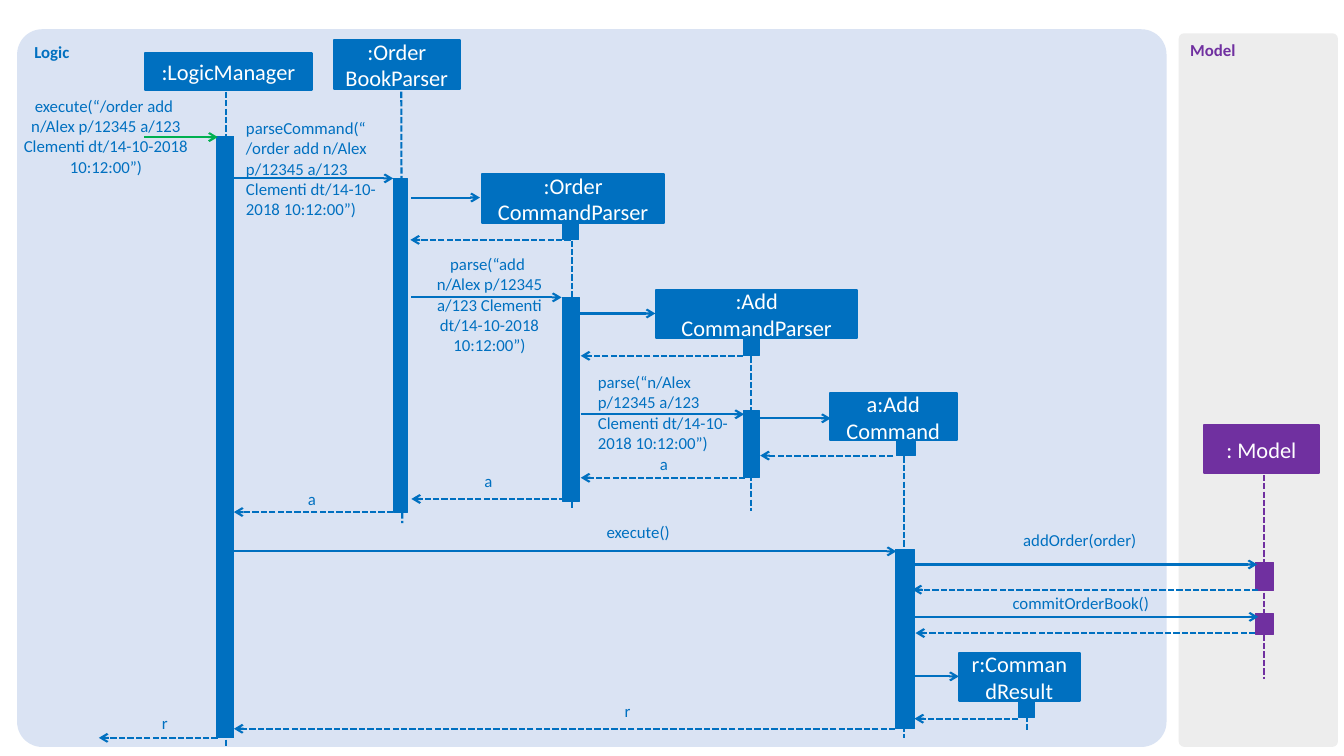
from dataclasses import dataclass

from pptx import Presentation
from pptx.dml.color import RGBColor
from pptx.enum.dml import MSO_LINE
from pptx.enum.shapes import MSO_CONNECTOR, MSO_SHAPE
from pptx.enum.text import MSO_ANCHOR, MSO_AUTO_SIZE, PP_ALIGN
from pptx.oxml.ns import qn
from pptx.oxml.xmlchemy import OxmlElement
from pptx.util import Pt


@dataclass(frozen=True)
class Theme:
    font: str = "Calibri"
    label_size: int = 12
    object_size: int = 16
    stroke: float = 1.5
    thin: float = 0.5
    logic: RGBColor = RGBColor(0x00, 0x70, 0xC0)
    model: RGBColor = RGBColor(0x70, 0x30, 0xA0)
    caller: RGBColor = RGBColor(0x00, 0xB0, 0x50)
    logic_area: RGBColor = RGBColor(0xDA, 0xE3, 0xF3)
    model_area: RGBColor = RGBColor(0xED, 0xED, 0xED)
    white: RGBColor = RGBColor(0xFF, 0xFF, 0xFF)


theme = Theme()
PX = 9144
CENTER, LEFT = PP_ALIGN.CENTER, PP_ALIGN.LEFT

deck = Presentation()
deck.slide_width, deck.slide_height = 1333 * PX, 750 * PX
page = deck.slides.add_slide(deck.slide_layouts[6])


def write(shape, text, size, color, align, bold=False):
    frame = shape.text_frame
    frame.word_wrap = True
    frame.text = text
    for para in frame.paragraphs:
        para.alignment = align
        para.font.name = theme.font
        para.font.size = Pt(size)
        para.font.bold = bold
        para.font.color.rgb = color


def draw_line(start, end, color, dashed=False, arrow=True):
    points = [value * PX for value in (*start, *end)]
    line = page.shapes.add_connector(MSO_CONNECTOR.STRAIGHT, *points)
    line.line.color.rgb = color
    line.line.width = Pt(theme.stroke)
    if dashed:
        line.line.dash_style = MSO_LINE.SQUARE_DOT
    properties = line._element.spPr
    if arrow:
        tip = OxmlElement("a:tailEnd")
        tip.set("type", "arrow")
        properties.find(qn("a:ln")).append(tip)
    properties.append(OxmlElement("a:effectLst"))


areas = [
    ("Logic", (17, 29, 1140, 712), theme.logic_area, theme.logic),
    ("Model", (1169, 33, 158, 708), theme.model_area, theme.model),
]
for name, place, fill, color in areas:
    area = page.shapes.add_shape(MSO_SHAPE.ROUNDED_RECTANGLE, *[value * PX for value in place])
    area.adjustments[0] = 0.035
    area.shadow.inherit = False
    area.fill.solid()
    area.fill.fore_color.rgb = fill
    area.line.fill.background()
    area.text_frame.vertical_anchor = MSO_ANCHOR.TOP
    write(area, name, theme.label_size, color, LEFT, bold=True)

lifelines = [
    ((224, 91), (224, 741), theme.logic),
    ((398, 91), (399, 519), theme.logic),
    ((567, 222), (567, 505), theme.logic),
    ((745, 337), (745, 507), theme.logic),
    ((897, 436), (897, 732), theme.logic),
    ((1019, 693), (1019, 724), theme.logic),
    ((1254, 471), (1254, 674), theme.model),
]
for top, bottom, color in lifelines:
    draw_line(top, bottom, color, dashed=True, arrow=False)

objects = [
    (":LogicManager", (144, 53, 165, 36), theme.logic),
    (":Order\nBookParser", (331, 40, 125, 48), theme.logic),
    (":Order\nCommandParser", (478, 173, 181, 48), theme.logic),
    (":Add\nCommandParser", (651, 288, 199, 47), theme.logic),
    ("a:Add\nCommand", (823, 390, 126, 47), theme.logic),
    ("r:CommandResult", (951, 648, 120, 47), theme.logic),
    (": Model", (1194, 422, 114, 47), theme.model),
]
activations = [
    ("", (215, 135, 17, 597), theme.logic),
    ("", (390, 177, 14, 331), theme.logic),
    ("", (558, 221, 16, 17), theme.logic),
    ("", (558, 295, 17, 202), theme.logic),
    ("", (737, 336, 16, 17), theme.logic),
    ("", (737, 407, 16, 67), theme.logic),
    ("", (889, 438, 19, 14), theme.logic),
    ("", (888, 545, 19, 178), theme.logic),
    ("", (1010, 695, 16, 17), theme.logic),
    ("", (1245, 558, 18, 28), theme.model),
    ("", (1245, 609, 18, 20), theme.model),
]
for name, place, color in objects + activations:
    block = page.shapes.add_shape(MSO_SHAPE.RECTANGLE, *[value * PX for value in place])
    block.shadow.inherit = False
    block.fill.solid()
    block.fill.fore_color.rgb = color
    block.line.color.rgb = color
    block.line.width = Pt(theme.stroke if name else theme.thin)
    if name:
        block.text_frame.vertical_anchor = MSO_ANCHOR.MIDDLE
        write(block, name, theme.object_size, theme.white, CENTER)

draw_line((143, 136), (216, 136), theme.caller)
calls = [
    (232, 390, 177), (408, 476, 196), (408, 557, 295), (575, 650, 311),
    (576, 738, 411), (754, 824, 415), (232, 889, 547), (906, 1247, 560),
    (907, 1248, 612), (907, 951, 671),
]
for sender, receiver, y in calls:
    draw_line((sender, y), (receiver, y), theme.logic)

returns = [
    (566, 407, 238), (737, 576, 353), (886, 754, 452), (739, 576, 474),
    (561, 408, 495), (390, 232, 508), (1248, 905, 585), (1245, 908, 628),
    (1010, 907, 713), (888, 232, 723), (216, 98, 732),
]
for sender, receiver, y in returns:
    draw_line((sender, y), (receiver, y), theme.logic, dashed=True)

messages = [
    ("execute(“/order add \nn/Alex p/12345 a/123 Clementi dt/14-10-2018 10:12:00”)",
     (-1, 95, 212, 81), CENTER),
    ("parseCommand(“\n/order add n/Alex p/12345 a/123 Clementi dt/14-10-2018 10:12:00”)",
     (244, 117, 144, 101), LEFT),
    ("parse(“add \nn/Alex p/12345 a/123 Clementi dt/14-10-2018 10:12:00”)",
     (414, 252, 143, 101), CENTER),
    ("parse(“n/Alex p/12345 a/123 Clementi dt/14-10-2018 10:12:00”)",
     (593, 369, 132, 81), LEFT),
    ("a", (590, 450, 137, 20), CENTER),
    ("a", (416, 467, 137, 20), CENTER),
    ("a", (241, 485, 137, 20), CENTER),
    ("execute()", (505, 518, 256, 20), CENTER),
    ("addOrder(order)", (943, 526, 256, 20), CENTER),
    ("commitOrderBook()", (944, 588, 256, 20), CENTER),
    ("r", (554, 695, 137, 20), CENTER),
    ("r", (95, 707, 137, 20), CENTER),
]
for text, place, align in messages:
    box = page.shapes.add_textbox(*[value * PX for value in place])
    frame = box.text_frame
    frame.margin_left = frame.margin_right = frame.margin_top = frame.margin_bottom = 0
    frame.auto_size = MSO_AUTO_SIZE.SHAPE_TO_FIT_TEXT
    write(box, text, theme.label_size, theme.logic, align)

deck.save("out.pptx")
